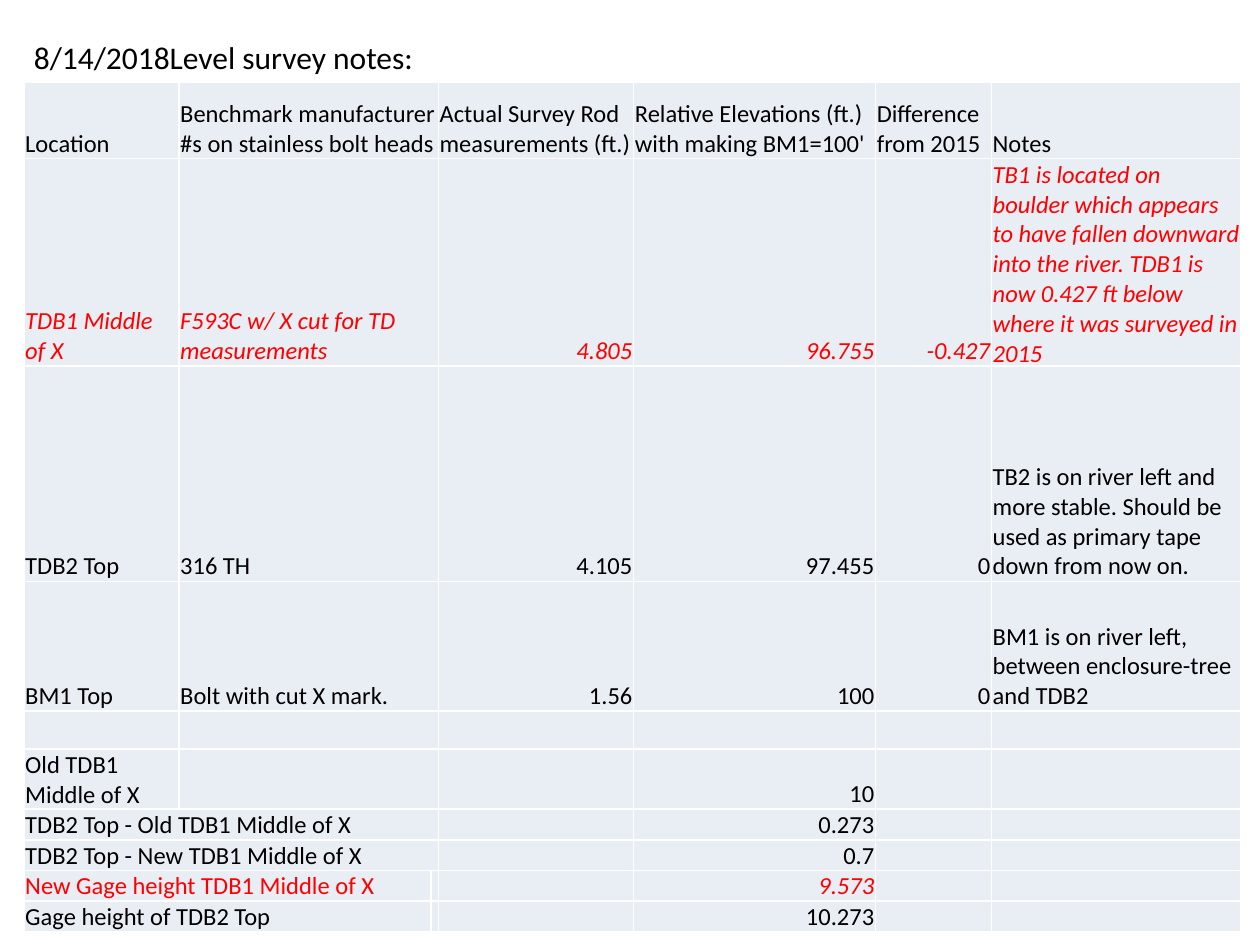
from pptx import Presentation
from pptx.dml.color import RGBColor
from pptx.enum.text import MSO_ANCHOR as Anchor, PP_ALIGN as Align
from pptx.oxml import parse_xml
from pptx.oxml.ns import nsdecls
from pptx.util import Inches, Pt

BLACK = RGBColor(0, 0, 0)
RED = RGBColor(0xFF, 0, 0)
WHITE = RGBColor(0xFF, 0xFF, 0xFF)
PALE_BLUE = RGBColor(0xE9, 0xED, 0xF4)
FONT = "Calibri"
BODY_SIZE = 14

COLUMN_WIDTHS = [1.23, 2, 0.04, 1.55, 1.92, 0.92, 1.98]
ROW_HEIGHTS = [0.61, 1.54, 1.71, 1.03, 0.3, 0.35] + [0.18] * 4
ELEVATION, NUMERIC_COLUMNS = 4, (3, 4, 5)
MOVED_ROW, NEW_GAGE_ROW = 1, 8
MERGED_COLUMNS = [(1, 2)] * 6 + [(0, 2)] * 2 + [(0, 1)] * 2

SURVEY = [
    ["Location", "Benchmark manufacturer #s on stainless bolt heads", "",
     "Actual Survey Rod measurements (ft.)",
     "Relative Elevations (ft.) with making BM1=100'",
     "Difference from 2015", "Notes"],
    ["TDB1 Middle of X", "F593C w/ X cut for TD measurements", "",
     "4.805", "96.755", "-0.427",
     "TB1 is located on boulder which appears to have fallen downward into "
     "the river. TDB1 is now 0.427 ft below where it was surveyed in 2015"],
    ["TDB2 Top", "316 TH", "", "4.105", "97.455", "0",
     "TB2 is on river left and more stable. Should be used as primary tape "
     "down from now on."],
    ["BM1 Top", "Bolt with cut X mark.", "", "1.56", "100", "0",
     "BM1 is on river left, between enclosure-tree and TDB2"],
]
GAGE_HEIGHTS = [
    ("", ""),
    ("Old TDB1 Middle of X", "10"),
    ("TDB2 Top - Old TDB1 Middle of X", "0.273"),
    ("TDB2 Top - New TDB1 Middle of X", "0.7"),
    ("New Gage height TDB1 Middle of X", "9.573"),
    ("Gage height of TDB2 Top", "10.273"),
]


def style_text(paragraph, size, color=BLACK, italic=False):
    for run in paragraph.runs:
        run.font.name = FONT
        run.font.size = Pt(size)
        run.font.color.rgb = color
        run.font.italic = italic


def add_heading(slide, text):
    heading = slide.shapes.add_textbox(
        Inches(0.17), Inches(0.25), Inches(3.25), Inches(0.4))
    heading.text_frame.word_wrap = False
    heading.text_frame.text = text
    style_text(heading.text_frame.paragraphs[0], 18)


def add_borders(cell):
    properties = cell._tc.get_or_add_tcPr()
    for position, side in enumerate(("lnL", "lnR", "lnT", "lnB")):
        properties.insert(position, parse_xml(
            f'<a:{side} {nsdecls("a")} w="{Pt(1)}"><a:solidFill>'
            f'<a:srgbClr val="{WHITE}"/></a:solidFill></a:{side}>'))


def fill_cell(cell, text, row, column):
    cell.margin_left = cell.margin_right = cell.margin_top = Inches(0.01)
    cell.margin_bottom = 0
    cell.vertical_anchor = Anchor.BOTTOM
    cell.fill.solid()
    cell.fill.fore_color.rgb = PALE_BLUE
    add_borders(cell)
    paragraph = cell.text_frame.paragraphs[0]
    if not text:
        paragraph._p.append(parse_xml(
            f'<a:endParaRPr {nsdecls("a")} sz="{BODY_SIZE * 100}"/>'))
        return
    paragraph.text = text
    if row > 0 and column in NUMERIC_COLUMNS:
        paragraph.alignment = Align.RIGHT
    color = RED if row in (MOVED_ROW, NEW_GAGE_ROW) else BLACK
    italic = row == MOVED_ROW or (row, column) == (NEW_GAGE_ROW, ELEVATION)
    style_text(paragraph, BODY_SIZE, color, italic)


def add_survey_table(slide):
    rows = SURVEY + [[label, "", "", "", height, "", ""]
                     for label, height in GAGE_HEIGHTS]
    table = slide.shapes.add_table(
        len(rows), len(COLUMN_WIDTHS), Inches(0.19), Inches(0.65),
        Inches(sum(COLUMN_WIDTHS)), Inches(sum(ROW_HEIGHTS))).table
    table.first_row = table.horz_banding = False
    for column, width in zip(table.columns, COLUMN_WIDTHS):
        column.width = Inches(width)
    for row, height in zip(table.rows, ROW_HEIGHTS):
        row.height = Inches(height)
    for row, texts in enumerate(rows):
        for column, text in enumerate(texts):
            fill_cell(table.cell(row, column), text, row, column)
        first, last = MERGED_COLUMNS[row]
        table.cell(row, first).merge(table.cell(row, last))


def main():
    deck = Presentation()
    deck.slide_width, deck.slide_height = Inches(10), Inches(7.5)
    slide = deck.slides.add_slide(deck.slide_layouts[6])
    add_heading(slide, "8/14/2018Level survey notes:")
    add_survey_table(slide)
    deck.save("out.pptx")


if __name__ == "__main__":
    main()
